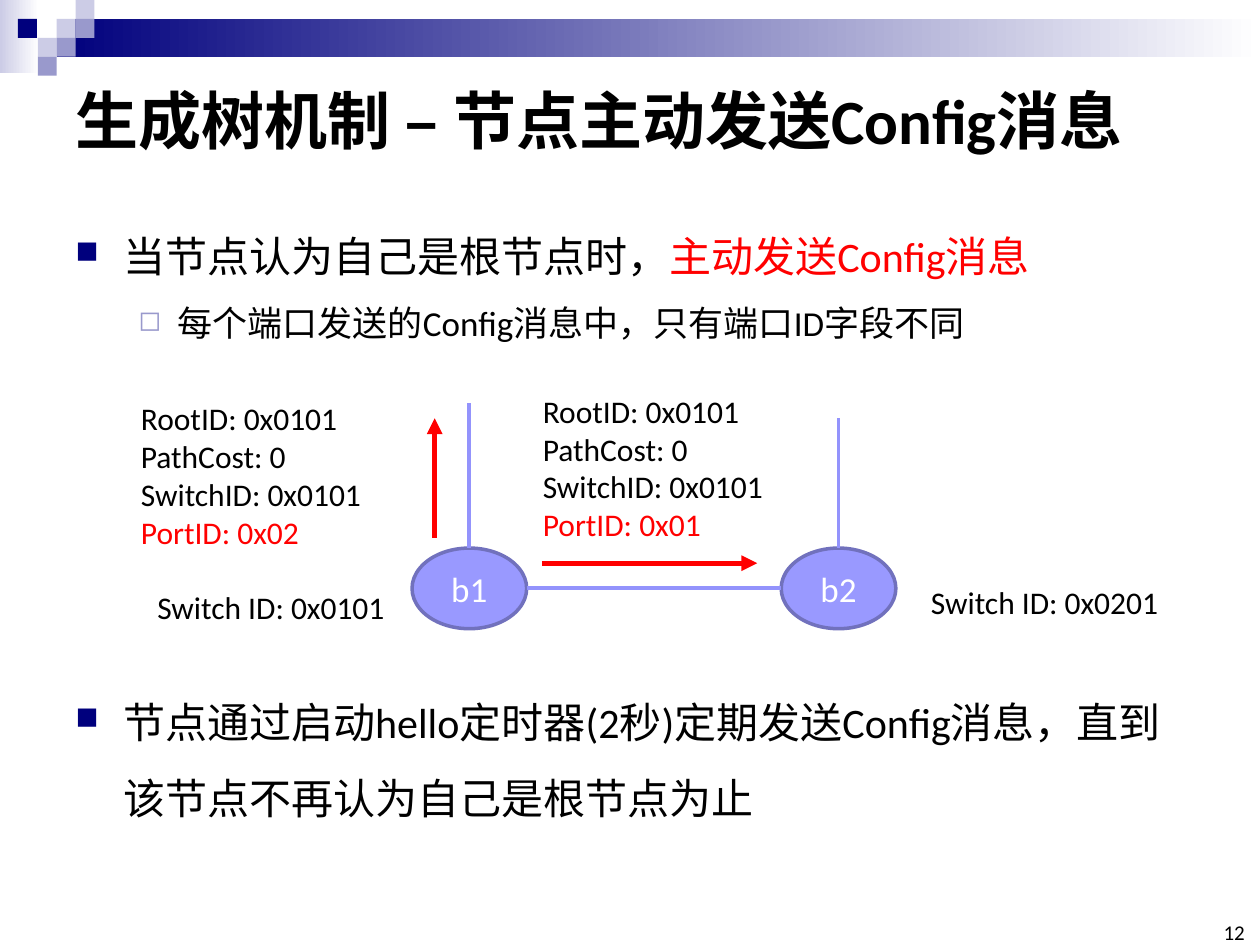
from lxml import etree
from pptx import Presentation
from pptx.dml.color import RGBColor
from pptx.enum.shapes import MSO_CONNECTOR, MSO_SHAPE
from pptx.enum.text import MSO_ANCHOR, MSO_AUTO_SIZE, PP_ALIGN
from pptx.oxml.ns import qn
from pptx.util import Inches, Pt

STRAIGHT = MSO_CONNECTOR.STRAIGHT
RECTANGLE, OVAL = MSO_SHAPE.RECTANGLE, MSO_SHAPE.OVAL
TOP, MIDDLE, BOTTOM = MSO_ANCHOR.TOP, MSO_ANCHOR.MIDDLE, MSO_ANCHOR.BOTTOM
LEFT, CENTER, RIGHT = PP_ALIGN.LEFT, PP_ALIGN.CENTER, PP_ALIGN.RIGHT
GROW = MSO_AUTO_SIZE.SHAPE_TO_FIT_TEXT
FIXED = MSO_AUTO_SIZE.NONE

COLORS = {
    "navy": "00007D", "violet": "9999CC", "pale": "CCCCE6", "white": "FFFFFF",
    "black": "000000", "red": "FF0000", "node": "9999FF", "node edge": "7171BD",
    "link": "9393FC",
}
# level: left margin, hanging indent, character, colour, size in percent
BULLETS = {
    0: (0.38, 0.38, "■", "navy", 75),
    1: (0.81, 0.31, "◻", "violet", 80),
}
TILE = 0.15


def rgb(name):
    return RGBColor.from_string(COLORS[name])


def add_bullet(para, level):
    margin, hanging, character, color, percent = BULLETS[level]
    para.level = level
    properties = para._p.get_or_add_pPr()
    properties.set("marL", str(Inches(margin)))
    properties.set("indent", str(-Inches(hanging)))
    bullet_color = etree.SubElement(properties, qn("a:buClr"))
    etree.SubElement(bullet_color, qn("a:srgbClr"), val=COLORS[color])
    etree.SubElement(properties, qn("a:buSzPct"), val=str(percent * 1000))
    etree.SubElement(properties, qn("a:buChar"), char=character)


def write(para, text, size=18, color="black", bold=False, align=LEFT):
    """Add one formatted span of text to a paragraph."""
    para.alignment = align
    span = para.add_run()
    span.text = text
    span.font.name = "Calibri"
    span.font.size = Pt(size)
    span.font.bold = bold
    span.font.color.rgb = rgb(color)


class SlideBuilder:
    def __init__(self, page, line_width=2.25):
        self.page = page
        self.line_width = line_width

    def title(self, text, left, top, width, height):
        box = self.page.shapes.title
        box.left, box.top = Inches(left), Inches(top)
        box.width, box.height = Inches(width), Inches(height)
        box.text_frame.vertical_anchor = MIDDLE
        box.text_frame.auto_size = FIXED
        write(box.text_frame.paragraphs[0], text, size=36, bold=True)

    def shape(self, kind, left, top, width, height, fill, fade_to=None, edge=None):
        shape = self.page.shapes.add_shape(
            kind, Inches(left), Inches(top), Inches(width), Inches(height))
        shape.shadow.inherit = False
        if fade_to:
            shape.fill.gradient()
            shape.fill.gradient_angle = 0
            for stop, color in zip(shape.fill.gradient_stops, (fill, fade_to)):
                stop.color.rgb = rgb(color)
        else:
            shape.fill.solid()
            shape.fill.fore_color.rgb = rgb(fill)
        if edge:
            shape.line.color.rgb = rgb(edge)
            shape.line.width = Pt(2)
        else:
            shape.line.fill.background()
        return shape

    def node(self, name, left, top):
        node = self.shape(OVAL, left, top, 0.91, 0.64, "node", edge="node edge")
        node.text_frame.vertical_anchor = MIDDLE
        write(node.text_frame.paragraphs[0], name, size=20, color="white", align=CENTER)
        return node

    def line(self, start, end, color="link", width=None, arrow=False):
        line = self.page.shapes.add_connector(
            STRAIGHT, *(Inches(value) for value in (*start, *end)))
        line.line.color.rgb = rgb(color)
        line.line.width = Pt(width or self.line_width)
        if arrow:
            etree.SubElement(line.line._get_or_add_ln(), qn("a:tailEnd"), type="triangle")
        etree.SubElement(line._element.spPr, qn("a:effectLst"))
        return line

    def text(self, left, top, width, height, lines, wrap=False, anchor=TOP, inset=None):
        """Add a box; each line is a list of (text, format) spans."""
        box = self.page.shapes.add_textbox(
            Inches(left), Inches(top), Inches(width), Inches(height))
        frame = box.text_frame
        frame.word_wrap = wrap
        frame.auto_size = FIXED if wrap else GROW
        frame.vertical_anchor = anchor
        if inset is not None:
            frame.margin_left = frame.margin_right = Inches(inset)
            frame.margin_top = frame.margin_bottom = Inches(inset)
        for index, spans in enumerate(lines):
            para = frame.add_paragraph() if index else frame.paragraphs[0]
            for text, style in spans:
                write(para, text, **style)
        return box

    def bullets(self, top, height, items):
        """Add a bulleted list; each item is a level and its spans."""
        box = self.text(0.5, top, 9, height, [spans for _, spans in items], wrap=True)
        for para, (level, _) in zip(box.text_frame.paragraphs, items):
            para.line_spacing = 1.5
            add_bullet(para, level)

    def config_message(self, left, top, port):
        fields = ["RootID: 0x0101", "PathCost: 0", "SwitchID: 0x0101"]
        lines = [[(field, {})] for field in fields]
        lines.append([(f"PortID: {port}", {"color": "red"})])
        self.text(left, top, 1.97, 1.31, lines)


def draw_header(slide):
    slide.shape(RECTANGLE, 0, 0, 0.31, 0.58, "pale", fade_to="white")
    slide.shape(RECTANGLE, 0.45, TILE, 9.55, 2 * TILE, "navy", fade_to="white")
    tiles = [(3, 1, "pale"), (4, 0, "pale"), (4, 1, "violet"), (2, 2, "pale"),
             (0.95, 1, "navy"), (3, 2, "violet"), (2, 3, "violet")]
    for column, row, color in tiles:
        slide.shape(RECTANGLE, column * TILE, row * TILE, TILE, TILE, color)


def draw_network(slide):
    node_top = 4.35
    for name, left, link_top in (("b1", 3.27, 3.2), ("b2", 6.2, 3.32)):
        node = slide.node(name, left, node_top)
        center = left + 0.455
        uplink = slide.line((center, link_top), (center, node_top))
        uplink.end_connect(node, 0)
    slide.line((4.18, 4.67), (6.2, 4.67))

    for left, top, switch in ((1.15, 4.62, "0x0101"), (7.29, 4.58, "0x0201")):
        slide.text(left, top, 2.03, 0.4, [[(f"Switch ID: {switch}", {})]])
    slide.config_message(1.02, 3.12, "0x02")
    slide.config_message(4.21, 3.06, "0x01")
    for start, end in (((3.45, 4.27), (3.45, 3.32)), ((4.3, 4.47), (6.01, 4.47))):
        slide.line(start, end, color="red", width=3, arrow=True)


def main():
    deck = Presentation()
    deck.slide_width, deck.slide_height = Inches(10), Inches(7.5)
    slide = SlideBuilder(deck.slides.add_slide(deck.slide_layouts[5]))

    draw_header(slide)
    slide.title("生成树机制 – 节点主动发送Config消息", 0.5, 0.5, 9, 0.89)
    slide.bullets(1.58, 1.3, [
        (0, [("当节点认为自己是根节点时，", {"size": 24}),
             ("主动发送Config消息", {"size": 24, "color": "red"})]),
        (1, [("每个端口发送的Config消息中，只有端口ID字段不同", {"size": 20})]),
    ])
    draw_network(slide)
    slide.bullets(5.28, 1.4, [
        (0, [("节点通过启动hello定时器(2秒)定期发送Config消息，"
              "直到该节点不再认为自己是根节点为止", {"size": 24})]),
    ])
    slide.text(9.65, 7.33, 0.23, 0.17, [[("12", {"size": 12, "align": RIGHT})]],
               wrap=True, anchor=BOTTOM, inset=0)
    deck.save("out.pptx")


if __name__ == "__main__":
    main()
